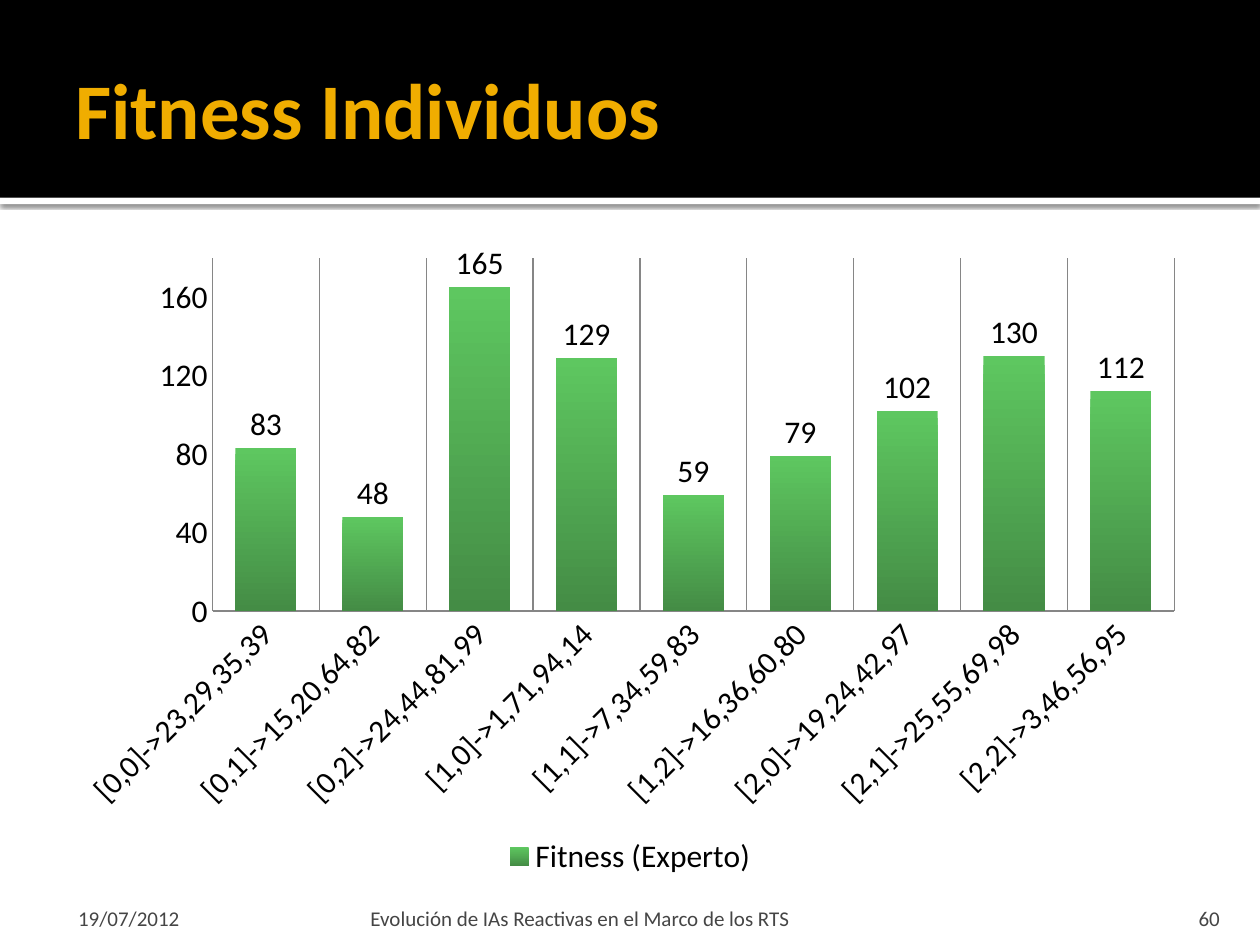
"""Build the slide with the fitness of each individual as a column chart."""
from pptx import Presentation
from pptx.chart.data import CategoryChartData
from pptx.dml.color import RGBColor
from pptx.enum.chart import XL_CHART_TYPE as ChartType, XL_LABEL_POSITION as LabelPosition
from pptx.enum.chart import XL_LEGEND_POSITION as LegendPosition, XL_TICK_MARK as TickMark
from pptx.enum.shapes import MSO_SHAPE as Shape
from pptx.enum.text import MSO_ANCHOR as Anchor, PP_ALIGN as Align
from pptx.oxml import parse_xml
from pptx.oxml.ns import nsdecls, qn
from pptx.util import Inches, Pt

BLACK = RGBColor(0x00, 0x00, 0x00)
WHITE = RGBColor(0xFF, 0xFF, 0xFF)
GOLD = RGBColor(0xF0, 0xAD, 0x00)
GREY = RGBColor(0x45, 0x45, 0x45)
AXIS_GREY = RGBColor(0x86, 0x86, 0x86)
LIGHT_GREEN = RGBColor(0x5E, 0xC7, 0x60)
DARK_GREEN = RGBColor(0x44, 0x8C, 0x45)
FONT = "Calibri"

FITNESS = {
    "[0,0]->23,29,35,39": 83,
    "[0,1]->15,20,64,82": 48,
    "[0,2]->24,44,81,99": 165,
    "[1,0]->1,71,94,14": 129,
    "[1,1]->7,34,59,83": 59,
    "[1,2]->16,36,60,80": 79,
    "[2,0]->19,24,42,97": 102,
    "[2,1]->25,55,69,98": 130,
    "[2,2]->3,46,56,95": 112,
}


def add_band(top, height, color):
    band = page.shapes.add_shape(Shape.RECTANGLE, 0, Inches(top), deck.slide_width, Inches(height))
    band.shadow.inherit = False
    band.fill.solid()
    band.fill.fore_color.rgb = color
    band.line.fill.background()
    return band


def write_text(box, text, size, color, anchor, insets, align=Align.LEFT, bold=False):
    frame = box.text_frame
    frame.word_wrap = True
    frame.vertical_anchor = anchor
    frame.margin_left, frame.margin_top, frame.margin_right, frame.margin_bottom = map(Inches, insets)
    para = frame.paragraphs[0]
    para.text = text
    para.alignment = align
    para.font.name = FONT
    para.font.size = Pt(size)
    para.font.bold = bold
    para.font.color.rgb = color


deck = Presentation()
deck.slide_width, deck.slide_height = Inches(10), Inches(7.5)
page = deck.slides.add_slide(deck.slide_layouts[6])

stripe = add_band(1.57, 0.05, WHITE)
stripe_effects = stripe._element.spPr.find(qn("a:effectLst"))
stripe_effects.append(parse_xml(
    f'<a:outerShdw {nsdecls("a")} blurRad="31750" dist="10160" dir="5400000" rotWithShape="0">'
    '<a:srgbClr val="000000"><a:alpha val="60000"/></a:srgbClr></a:outerShdw>'))
add_band(0, 1.57, BLACK)

title = page.shapes.add_textbox(Inches(0.5), Inches(0.17), Inches(9), Inches(1.37))
write_text(title, "Fitness Individuos", 45, GOLD, Anchor.MIDDLE, (0.1, 0.05, 0.05, 0.05), bold=True)

data = CategoryChartData()
data.categories = list(FITNESS)
data.add_series("Fitness (Experto)", list(FITNESS.values()))
chart = page.shapes.add_chart(ChartType.COLUMN_CLUSTERED, Inches(0.5), Inches(1.94),
                              Inches(9), Inches(5.06), data).chart
chart.has_title = False
chart.font.name = FONT
chart.font.size = Pt(18)
chart.font.color.rgb = BLACK
chart.has_legend = True
chart.legend.position = LegendPosition.BOTTOM
chart.legend.include_in_layout = False

category_axis, value_axis = chart.category_axis, chart.value_axis
category_axis.has_major_gridlines = True
value_axis.has_major_gridlines = False
value_axis.minimum_scale, value_axis.maximum_scale, value_axis.major_unit = 0, 180, 40
for axis in (category_axis, value_axis):
    axis.major_tick_mark = axis.minor_tick_mark = TickMark.NONE
    axis.tick_labels.font.size = Pt(18)
for line in (category_axis.format.line, category_axis.major_gridlines.format.line, value_axis.format.line):
    line.color.rgb = AXIS_GREY
category_axis._element.find(qn("c:txPr")).find(qn("a:bodyPr")).set("rot", "-2700000")

plot = chart.plots[0]
plot.gap_width = 75
plot.vary_by_categories = False
plot.has_data_labels = True
plot.data_labels.show_value = True
plot.data_labels.position = LabelPosition.OUTSIDE_END
column_fill = plot.series[0].format.fill
column_fill.gradient()
column_fill.gradient_angle = 270
for stop, color, position in zip(column_fill.gradient_stops, (LIGHT_GREEN, DARK_GREEN), (0, 1)):
    stop.color.rgb = color
    stop.position = position

for text, left, width, left_inset, right_inset, align in (
    ("19/07/2012", 0.5, 2.33, 0.12, 0.05, Align.LEFT),
    ("Evolución de IAs Reactivas en el Marco de los RTS", 2.89, 6.02, 0.05, 0.05, Align.LEFT),
    ("60", 8.98, 0.8, 0.1, 0.1, Align.RIGHT),
):
    box = page.shapes.add_textbox(Inches(left), Inches(7.09), Inches(width), Inches(0.3))
    write_text(box, text, 12, GREY, Anchor.BOTTOM, (left_inset, 0.05, right_inset, 0), align)

deck.save("out.pptx")
